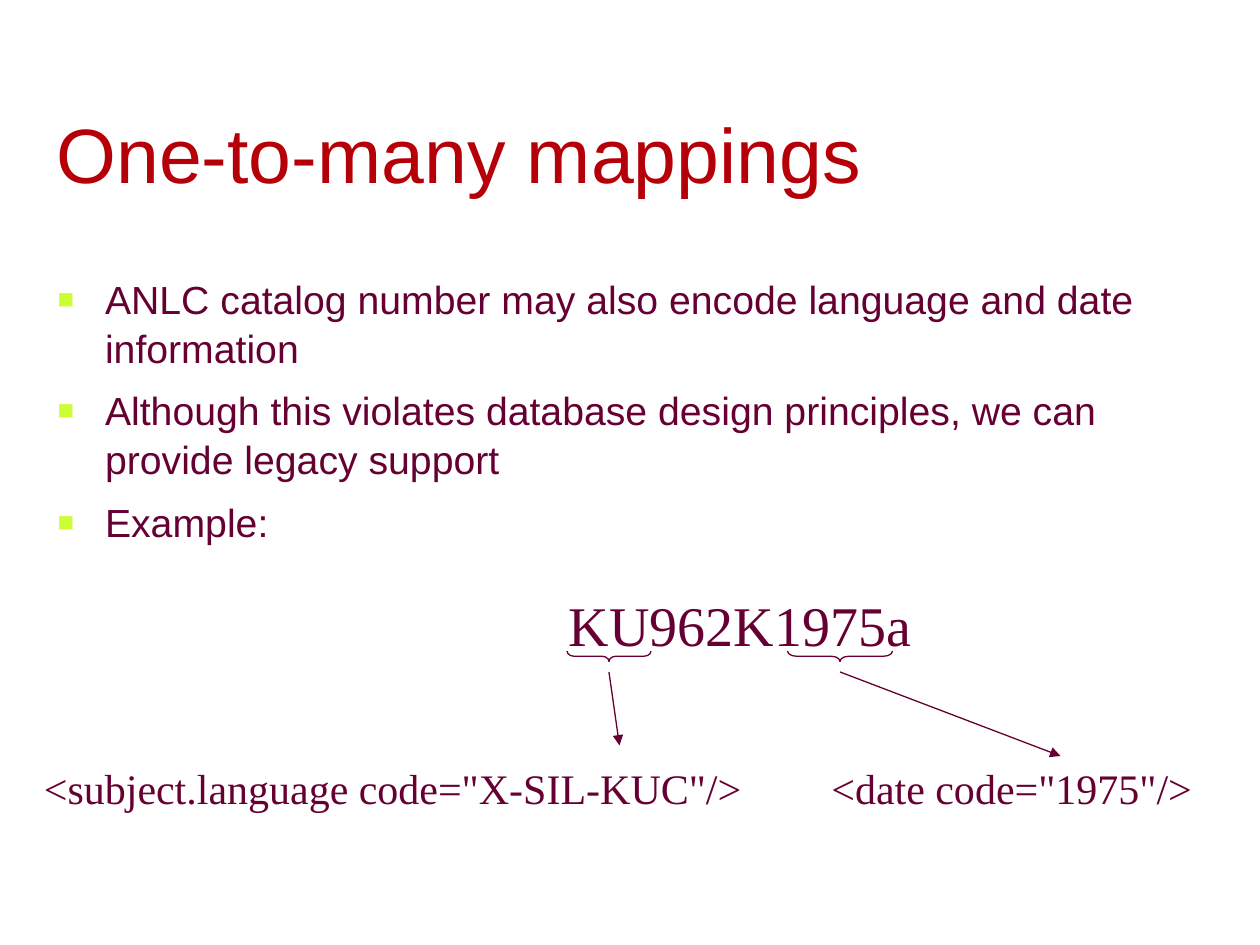
from lxml import etree
from pptx import Presentation
from pptx.dml.color import RGBColor
from pptx.enum import shapes, text
from pptx.oxml.ns import qn
from pptx.util import Pt

RED = RGBColor(0xB6, 0x00, 0x09)
PLUM = RGBColor(0x66, 0x00, 0x33)
LIME = RGBColor(0xCC, 0xFF, 0x33)
SANS, SERIF = "Arial", "Times New Roman"

BULLETS = [
    "ANLC catalog number may also encode language and date information",
    "Although this violates database design principles, we can provide legacy support",
    "Example:",
]


def add_run(p, words, font, size, color):
    r = p.add_run()
    r.text = words
    r.font.name = font
    r.font.size = Pt(size)
    r.font.color.rgb = color


def add_box(s, x, y, w, h, wrap=True):
    tf = s.shapes.add_textbox(Pt(x), Pt(y), Pt(w), Pt(h)).text_frame
    tf.word_wrap = wrap
    return tf


def add_title(s, words):
    tf = add_box(s, 25.2, 56.9, 680.4, 60.5)
    tf.vertical_anchor = text.MSO_ANCHOR.BOTTOM
    add_run(tf.paragraphs[0], words, SANS, 44, RED)


def add_label(s, words, size, x, y, w, h):
    tf = add_box(s, x, y, w, h, wrap=False)
    add_run(tf.paragraphs[0], words, SERIF, size, PLUM)


def set_bullet(p):
    pPr = p._p.get_or_add_pPr()
    pPr.set("marL", str(Pt(27)))
    pPr.set("indent", str(Pt(-27)))
    color = etree.SubElement(pPr, qn("a:buClr"))
    etree.SubElement(color, qn("a:srgbClr"), val=str(LIME))
    etree.SubElement(pPr, qn("a:buSzPct"), val="70000")
    etree.SubElement(pPr, qn("a:buFont"), typeface=SANS)
    etree.SubElement(pPr, qn("a:buChar"), char="■")


def add_bullets(s, items):
    tf = add_box(s, 25.9, 152.6, 646.6, 164.9)
    for i, item in enumerate(items):
        p = tf.add_paragraph() if i else tf.paragraphs[0]
        p.space_before = Pt(8)
        p.line_spacing = 1.04
        set_bullet(p)
        add_run(p, item, SANS, 22.4, PLUM)


def add_brace(s, cx, cy, length, depth=6):
    sp = s.shapes.add_shape(
        shapes.MSO_SHAPE.LEFT_BRACE,
        Pt(cx - depth / 2), Pt(cy - length / 2), Pt(depth), Pt(length))
    sp.rotation = 270
    sp.adjustments[0] = length / 12 / depth
    sp.shadow.inherit = False
    sp.fill.background()
    sp.line.color.rgb = PLUM
    sp.line.width = Pt(0.75)


def add_arrow(s, x1, y1, x2, y2):
    cn = s.shapes.add_connector(
        shapes.MSO_CONNECTOR.STRAIGHT, Pt(x1), Pt(y1), Pt(x2), Pt(y2))
    cn.line.color.rgb = PLUM
    cn.line.width = Pt(0.75)
    etree.SubElement(cn.line._get_or_add_ln(), qn("a:tailEnd"), type="triangle")
    etree.SubElement(cn._element.spPr, qn("a:effectLst"))


def add_mapping(s, cx, length, tip, words, x, w):
    add_label(s, words, 24, x, 432, w, 36)
    add_brace(s, cx, 375, length)
    add_arrow(s, cx, 384, *tip)


def main():
    prs = Presentation()
    prs.slide_width, prs.slide_height = Pt(720), Pt(540)
    s = prs.slides.add_slide(prs.slide_layouts[6])
    add_title(s, "One-to-many mappings")
    add_bullets(s, BULLETS)
    add_label(s, "KU962K1975a", 32, 318, 334, 210, 46)
    add_mapping(s, 348, 48, (354, 426),
                '<subject.language code="X-SIL-KUC"/>', 18, 413.3)
    add_mapping(s, 480, 60, (606, 432), '<date code="1975"/>', 468, 220.3)
    prs.save("out.pptx")


if __name__ == "__main__":
    main()
